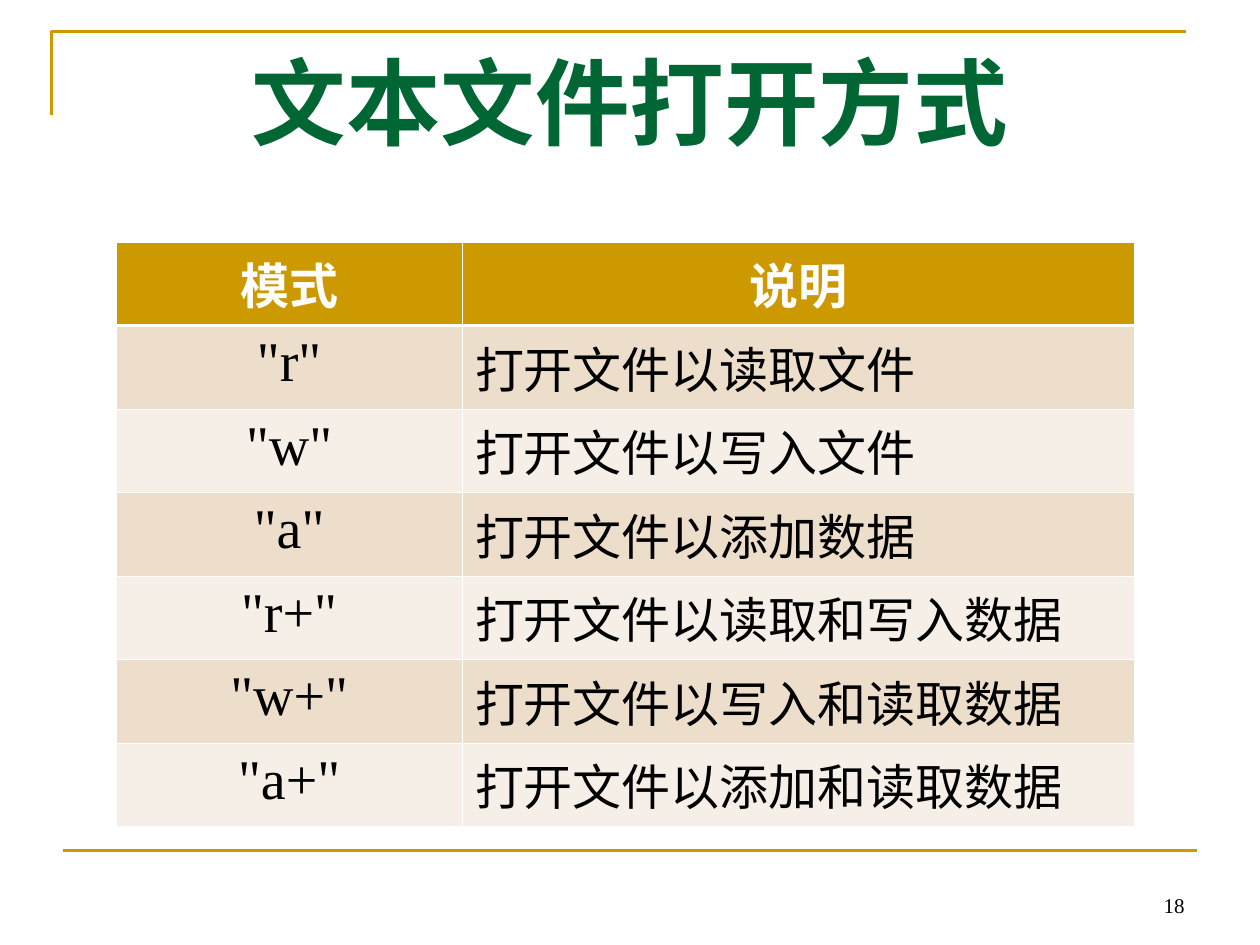
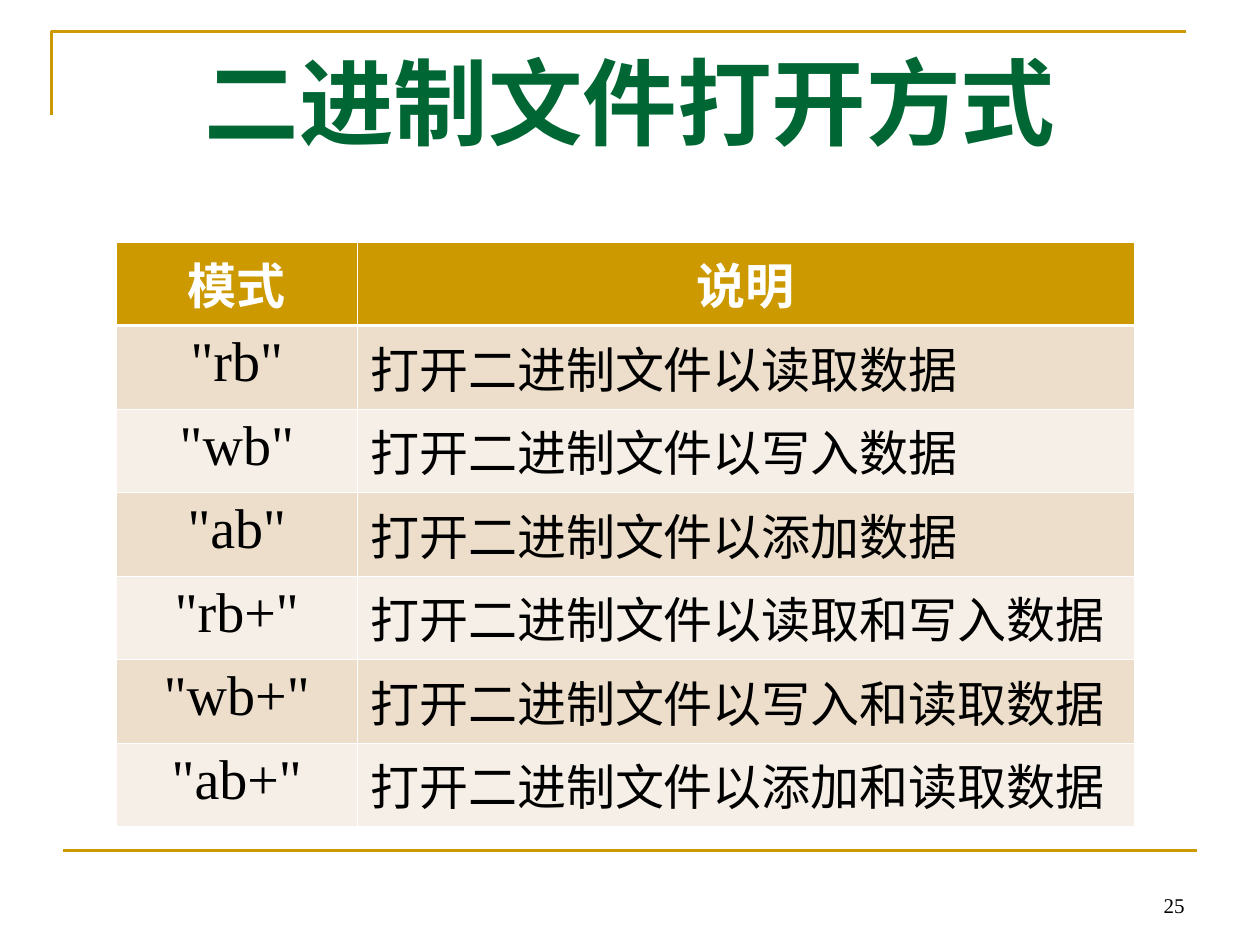
from lxml import etree
from pptx import Presentation
from pptx.dml.color import RGBColor
from pptx.enum.shapes import MSO_CONNECTOR as Connector
from pptx.enum.text import MSO_ANCHOR as Anchor, PP_ALIGN as Align
from pptx.oxml.ns import qn
from pptx.util import Inches, Pt

GOLD, GREEN, WHITE, BLACK = "CC9900", "006633", "FFFFFF", "000000"
BANDS = ("ECDECB", "F6EFE7")
SERIF, SANS = "Times New Roman", "Arial"
RULE_WIDTH = 1.5
THIN_BORDER, HEADER_BORDER = 0.45, 1.47
TABLE_WIDTH, TABLE_HEIGHT = 8.08, 4.64
HEADINGS = ("模式", "说明")

TEXT_MODES = [
    ('"r"', "打开文件以读取文件"),
    ('"w"', "打开文件以写入文件"),
    ('"a"', "打开文件以添加数据"),
    ('"r+"', "打开文件以读取和写入数据"),
    ('"w+"', "打开文件以写入和读取数据"),
    ('"a+"', "打开文件以添加和读取数据"),
]
BINARY_MODES = [
    ('"rb"', "打开二进制文件以读取数据"),
    ('"wb"', "打开二进制文件以写入数据"),
    ('"ab"', "打开二进制文件以添加数据"),
    ('"rb+"', "打开二进制文件以读取和写入数据"),
    ('"wb+"', "打开二进制文件以写入和读取数据"),
    ('"ab+"', "打开二进制文件以添加和读取数据"),
]


def color(hex_value):
    return RGBColor.from_string(hex_value)


def write(frame, text, size, hex_value, align, bold=False, font=SERIF):
    """Put one run in the first paragraph of a frame."""
    paragraph = frame.paragraphs[0]
    paragraph.alignment = align
    run = paragraph.add_run()
    run.text = text
    run.font.name = font
    run.font.size = Pt(size)
    run.font.bold = bold
    run.font.color.rgb = color(hex_value)


def add_text(slide, left, top, width, height, anchor):
    box = slide.shapes.add_textbox(*map(Inches, (left, top, width, height)))
    frame = box.text_frame
    frame.word_wrap = True
    frame.vertical_anchor = anchor
    return frame


def style_rule(line):
    line.color.rgb = color(GOLD)
    line.width = Pt(RULE_WIDTH)


def add_frame_lines(slide):
    """Draw the corner at the top left and the rule above the footer."""
    builder = slide.shapes.build_freeform(Inches(0.41), Inches(0.91))
    builder.add_line_segments(
        [(Inches(0.41), Inches(0.25)), (Inches(9.41), Inches(0.25))], close=False)
    corner = builder.convert_to_shape()
    corner.shadow.inherit = False
    corner.fill.background()
    style_rule(corner.line)

    footer_rule = slide.shapes.add_connector(
        Connector.STRAIGHT, *map(Inches, (0.5, 6.75, 9.5, 6.75)))
    style_rule(footer_rule.line)
    etree.SubElement(footer_rule._element.spPr, qn("a:effectLst"))


def add_title(slide, title):
    frame = add_text(slide, 0.5, 0.3, 9, 1.25, Anchor.TOP)
    write(frame, title, 54, GREEN, Align.CENTER, bold=True)


def add_page_number(slide, number):
    frame = add_text(slide, 7.17, 6.83, 2.33, 0.5, Anchor.BOTTOM)
    write(frame, str(number), 12, BLACK, Align.RIGHT)


def set_borders(cell, top, bottom):
    properties = cell._tc.get_or_add_tcPr()
    widths = {"L": THIN_BORDER, "R": THIN_BORDER, "T": top, "B": bottom}
    for side, width in widths.items():
        border = etree.SubElement(properties, qn(f"a:ln{side}"), w=str(Pt(width)))
        fill = etree.SubElement(border, qn("a:solidFill"))
        etree.SubElement(fill, qn("a:srgbClr"), val=WHITE)


def fill_cell(cell, hex_value):
    cell.fill.solid()
    cell.fill.fore_color.rgb = color(hex_value)


def add_mode_table(slide, modes, mode_width, heading_font):
    """Add a table of equally high rows: the headings, then one row per mode."""
    table = slide.shapes.add_table(
        len(modes) + 1, 2, *map(Inches, (0.92, 1.92, TABLE_WIDTH, TABLE_HEIGHT))).table
    table.columns[0].width = Inches(mode_width)
    table.columns[1].width = Inches(TABLE_WIDTH - mode_width)

    for cell, heading in zip(table.rows[0].cells, HEADINGS):
        set_borders(cell, THIN_BORDER, HEADER_BORDER)
        fill_cell(cell, GOLD)
        write(cell.text_frame, heading, 28, WHITE, Align.CENTER, True, heading_font)

    for index, (mode, meaning) in enumerate(modes):
        mode_cell, meaning_cell = table.rows[index + 1].cells
        for cell in (mode_cell, meaning_cell):
            set_borders(cell, THIN_BORDER if index else HEADER_BORDER, THIN_BORDER)
            fill_cell(cell, BANDS[index % 2])
        write(mode_cell.text_frame, mode, 32, BLACK, Align.CENTER)
        write(meaning_cell.text_frame, meaning, 28, BLACK, Align.LEFT)


def add_mode_slide(deck, title, number, modes, mode_width, heading_font):
    slide = deck.slides.add_slide(deck.slide_layouts[6])
    add_frame_lines(slide)
    add_page_number(slide, number)
    add_title(slide, title)
    add_mode_table(slide, modes, mode_width, heading_font)


def main():
    deck = Presentation()
    deck.slide_width, deck.slide_height = Inches(10), Inches(7.5)
    add_mode_slide(deck, "文本文件打开方式", 18, TEXT_MODES, 2.75, SERIF)
    add_mode_slide(deck, "二进制文件打开方式", 25, BINARY_MODES, 1.92, SANS)
    deck.save("out.pptx")


if __name__ == "__main__":
    main()
